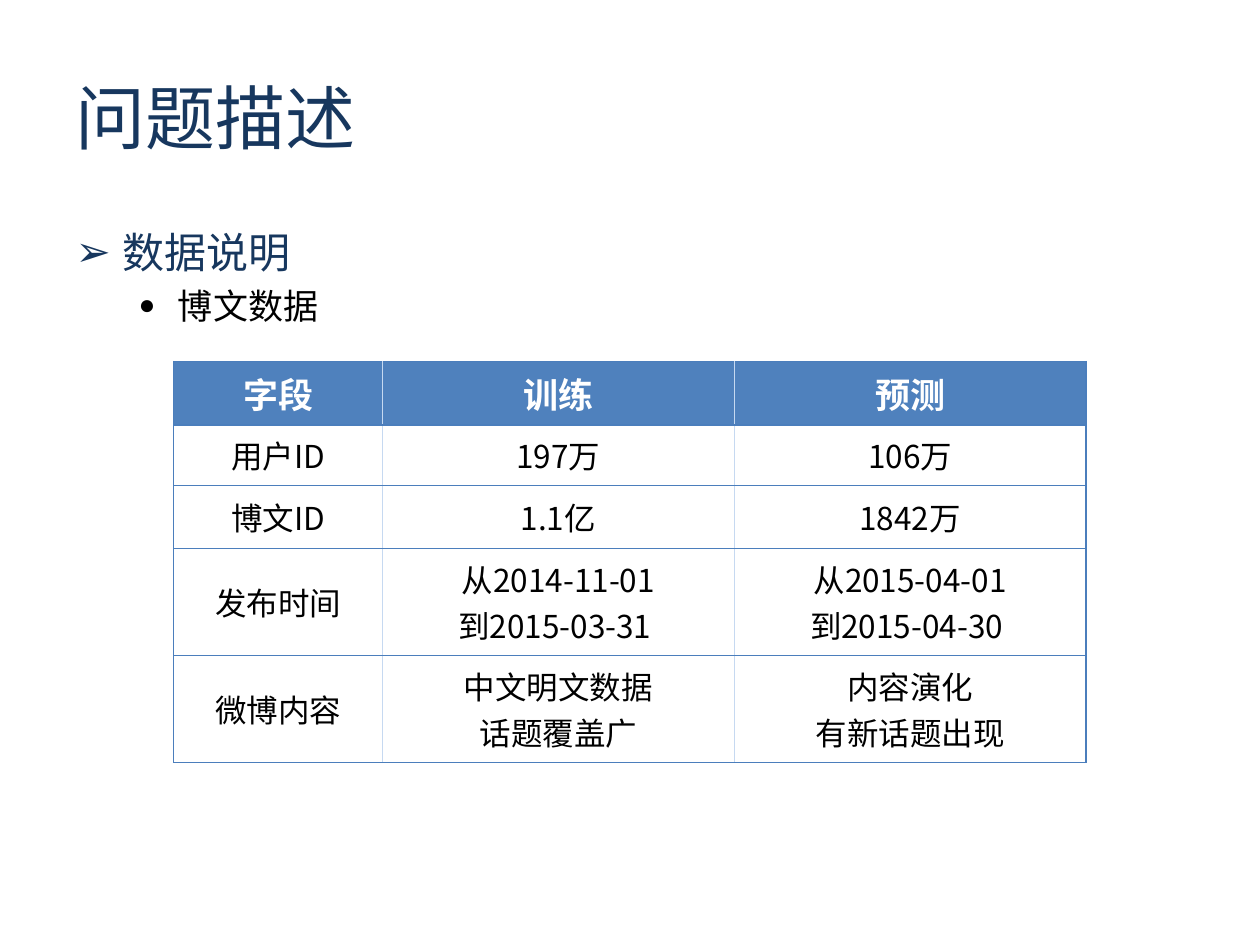
from dataclasses import dataclass

from lxml.etree import SubElement
from pptx import Presentation
from pptx.dml.color import RGBColor as RGB
from pptx.enum.text import MSO_ANCHOR as Anchor, PP_ALIGN as Align
from pptx.oxml import parse_xml
from pptx.oxml.ns import nsdecls, qn
from pptx.util import Pt


@dataclass(frozen=True)
class Theme:
    navy: str = "17375E"
    black: str = "000000"
    white: str = "FFFFFF"
    header: str = "4F81BD"
    rule: str = "4B7EBC"
    divider: str = "C6D9F1"
    title_size: int = 40
    topic_size: int = 24
    detail_size: int = 20
    header_size: int = 20
    cell_size: int = 18
    cjk: str = "Noto Sans CJK SC"
    detail_face: str = "Arial"
    header_face: str = "Calibri"


class DataSlide:
    def __init__(self, deck, theme):
        self.theme = theme
        self.slide = deck.slides.add_slide(deck.slide_layouts[1])

    def add_text(self, paragraph, text, color, align=Align.LEFT, **font_format):
        """Put one formatted run into a paragraph."""
        paragraph.alignment = align
        run = paragraph.add_run()
        run.text = text
        for name, value in font_format.items():
            setattr(run.font, name, value)
        run.font.color.rgb = RGB.from_string(color)
        SubElement(run.font._element, qn("a:ea"), typeface=self.theme.cjk)

    def place(self, holder, left, top, width, height):
        frame = dict(left=left, top=top, width=width, height=height)
        for name, value in frame.items():
            setattr(holder, name, Pt(value))

    def title(self, text, box):
        heading = self.slide.shapes.title
        self.place(heading, *box)
        heading.text_frame.vertical_anchor = Anchor.MIDDLE
        self.add_text(heading.text_frame.paragraphs[0], text, self.theme.navy,
                      size=Pt(self.theme.title_size), name=self.theme.cjk)

    def outline(self, items, box):
        """Fill the body; each item is (text, color, size, face, bullet)."""
        body = self.slide.placeholders[1]
        self.place(body, *box)
        frame = body.text_frame
        for level, (text, color, size, face, bullet) in enumerate(items):
            paragraph = frame.add_paragraph() if level else frame.paragraphs[0]
            paragraph.level = level
            self.add_text(paragraph, text, color, size=Pt(size), name=face)
            self.bullet(paragraph, **bullet)

    def bullet(self, paragraph, char, margin, hanging, percent):
        props = paragraph._p.get_or_add_pPr()
        props.set("marL", str(Pt(margin)))
        props.set("indent", str(-Pt(hanging)))
        SubElement(props, qn("a:buSzPct"), val=str(percent * 1000))
        SubElement(props, qn("a:buFont"), typeface="Arial")
        SubElement(props, qn("a:buChar"), char=char)

    def table(self, records, left, top, widths, heights):
        theme = self.theme
        grid = self.slide.shapes.add_table(
            len(records), len(widths), Pt(left), Pt(top),
            Pt(sum(widths)), Pt(sum(heights))).table
        grid.horz_banding = False
        for column, width in zip(grid.columns, widths):
            column.width = Pt(width)
        for row, height in zip(grid.rows, heights):
            row.height = Pt(height)

        header_format = dict(color=theme.white, size=Pt(theme.header_size),
                             name=theme.header_face, bold=True)
        cell_format = dict(color=theme.black, size=Pt(theme.cell_size),
                           name=theme.cjk, bold=False)
        for r, record in enumerate(records):
            for c, text in enumerate(record):
                cell = grid.cell(r, c)
                cell.vertical_anchor = Anchor.MIDDLE
                if r == 0:
                    cell.fill.solid()
                    cell.fill.fore_color.rgb = RGB.from_string(theme.header)
                else:
                    cell.fill.background()
                frame = cell.text_frame
                for i, line in enumerate(text.split("\n")):
                    paragraph = frame.add_paragraph() if i else frame.paragraphs[0]
                    self.add_text(paragraph, line, align=Align.CENTER,
                                  **(cell_format if r else header_format))
                self.borders(cell, first=c == 0, last=c == len(widths) - 1)

    def borders(self, cell, first, last):
        """Dark outer edges and row rules, pale dividers between columns."""
        rule, divider = (self.theme.rule, 0.75), (self.theme.divider, 1)
        edges = dict(lnL=rule if first else divider,
                     lnR=rule if last else divider, lnT=rule, lnB=rule)
        props = cell._tc.get_or_add_tcPr()
        for order, (edge, (color, weight)) in enumerate(edges.items()):
            props.insert(order, parse_xml(
                f'<a:{edge} {nsdecls("a")} w="{Pt(weight)}"><a:solidFill>'
                f'<a:srgbClr val="{color}"/></a:solidFill></a:{edge}>'))


def main():
    deck = Presentation()
    deck.slide_width, deck.slide_height = Pt(720), Pt(540)
    theme = Theme()
    page = DataSlide(deck, theme)

    # Heading
    page.title("问题描述", (36, 21.6, 648, 90))

    # Topic and its detail
    page.outline([
        ("数据说明", theme.navy, theme.topic_size, theme.cjk,
         dict(char="➢", margin=27, hanging=27, percent=100)),
        ("博文数据", theme.black, theme.detail_size, theme.detail_face,
         dict(char="●", margin=58.5, hanging=22.5, percent=80)),
    ], (36, 126, 648, 356.4))

    # Training and prediction data
    page.table([
        ("字段", "训练", "预测"),
        ("用户ID", "197万", "106万"),
        ("博文ID", "1.1亿", "1842万"),
        ("发布时间", "从2014-11-01\n到2015-03-31 ", "从2015-04-01\n到2015-04-30 "),
        ("微博内容", "中文明文数据\n话题覆盖广", "内容演化\n有新话题出现"),
    ], left=99.2, top=206.6, widths=(119.4, 201, 201),
        heights=(34.5, 34.5, 36, 61.2, 61.2))

    deck.save("out.pptx")


if __name__ == "__main__":
    main()
